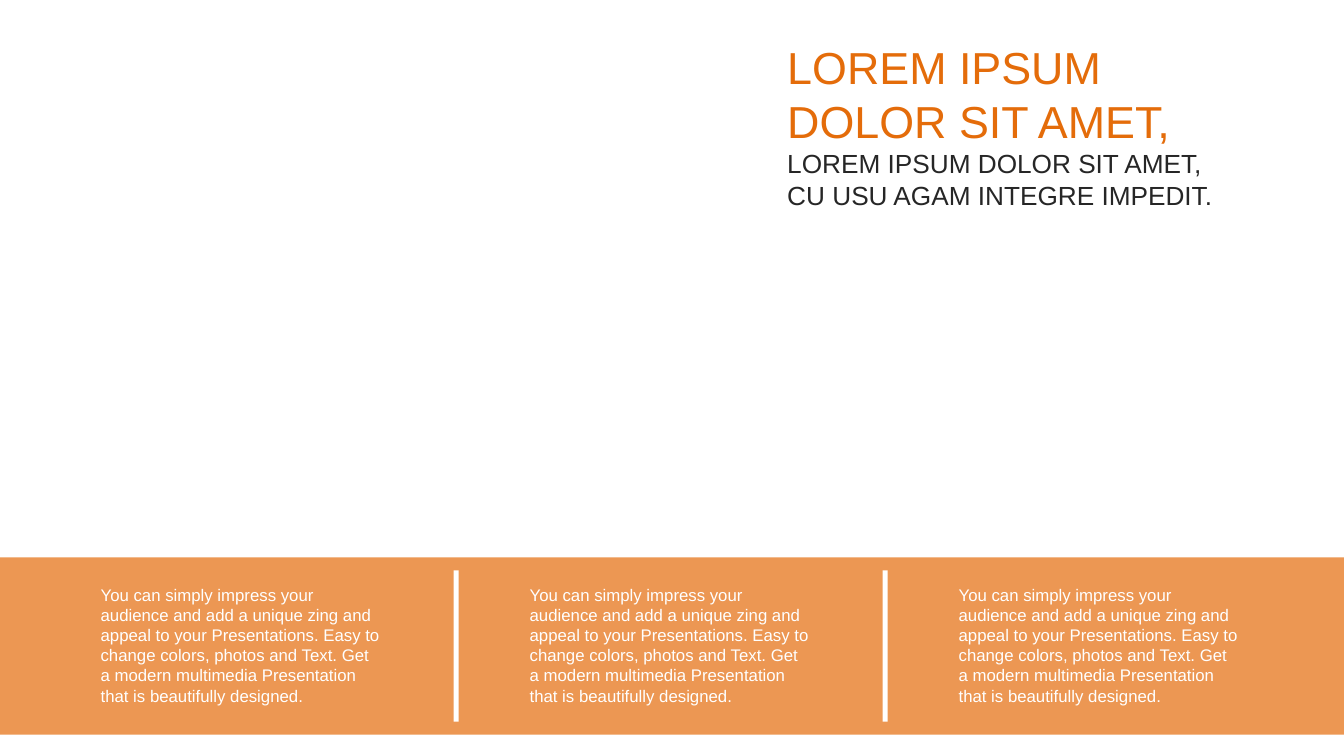
from dataclasses import dataclass

from lxml import etree
from pptx import Presentation
from pptx.dml.color import RGBColor
from pptx.enum.shapes import MSO_SHAPE
from pptx.enum.text import MSO_ANCHOR, MSO_AUTO_SIZE
from pptx.oxml.ns import qn
from pptx.slide import Slide
from pptx.util import Inches, Pt

RECT = MSO_SHAPE.RECTANGLE
TOP, MIDDLE = MSO_ANCHOR.TOP, MSO_ANCHOR.MIDDLE
GROW = MSO_AUTO_SIZE.SHAPE_TO_FIT_TEXT


@dataclass(frozen=True)
class Theme:
    font: str = "Arial"
    orange: str = "E46C0A"
    dark: str = "262626"
    white: str = "FFFFFF"
    title: float = 32
    lead: float = 18.7
    body: float = 12


@dataclass(frozen=True)
class Box:
    left: float
    top: float
    width: float
    height: float

    def frame(self) -> tuple[Inches, ...]:
        return tuple(map(Inches, (self.left, self.top, self.width, self.height)))


THEME = Theme()
WIDTH, HEIGHT = 13.33, 7.5
COLUMNS, PITCH = 3, 4.255
BLURB = (
    "You can simply impress your audience and add a unique zing and appeal "
    "to your Presentations. Easy to change colors, photos and Text. Get a "
    "modern multimedia Presentation that is beautifully designed."
)


def add_bar(slide: Slide, box: Box, color: str, alpha: int = 100) -> None:
    bar = slide.shapes.add_shape(RECT, *box.frame())
    bar.shadow.inherit = False
    bar.line.fill.background()
    bar.fill.solid()
    bar.fill.fore_color.rgb = RGBColor.from_string(color)
    if alpha < 100:
        tint = bar.fill._xPr.find(qn("a:solidFill"))[0]
        etree.SubElement(tint, qn("a:alpha")).set("val", str(alpha * 1000))


def add_text(slide: Slide, box: Box, *lines: str, size: float, color: str,
             anchor: MSO_ANCHOR = TOP) -> None:
    frame = slide.shapes.add_textbox(*box.frame()).text_frame
    frame.word_wrap = True
    frame.auto_size = GROW
    frame.vertical_anchor = anchor
    frame.text = "\n".join(lines)
    for line in frame.paragraphs:
        font = line.runs[0].font
        font.name, font.size = THEME.font, Pt(size)
        font.color.rgb = RGBColor.from_string(color)


def main() -> None:
    """Build the slide with a heading and a three-column footer band."""
    deck = Presentation()
    deck.slide_width, deck.slide_height = Inches(WIDTH), Inches(HEIGHT)
    slide = deck.slides.add_slide(deck.slide_layouts[6])

    add_bar(slide, Box(0, 5.53, WIDTH, 1.76), THEME.orange, alpha=70)
    for column in range(COLUMNS):
        shift = column * PITCH
        add_text(slide, Box(0.9 + shift, 5.75, 3, 1.31), BLURB,
                 size=THEME.body, color=THEME.white)
        if column < COLUMNS - 1:
            add_bar(slide, Box(4.5 + shift, 5.66, 0.05, 1.5), THEME.white)

    add_text(slide, Box(7.71, 1.41, 5.14, 0.73),
             "LOREM IPSUM DOLOR SIT AMET,", "CU USU AGAM INTEGRE IMPEDIT.",
             size=THEME.lead, color=THEME.dark, anchor=MIDDLE)
    add_text(slide, Box(7.71, 0.34, 5.14, 1.18),
             "LOREM IPSUM", "DOLOR SIT AMET,",
             size=THEME.title, color=THEME.orange, anchor=MIDDLE)
    deck.save("out.pptx")


if __name__ == "__main__":
    main()
